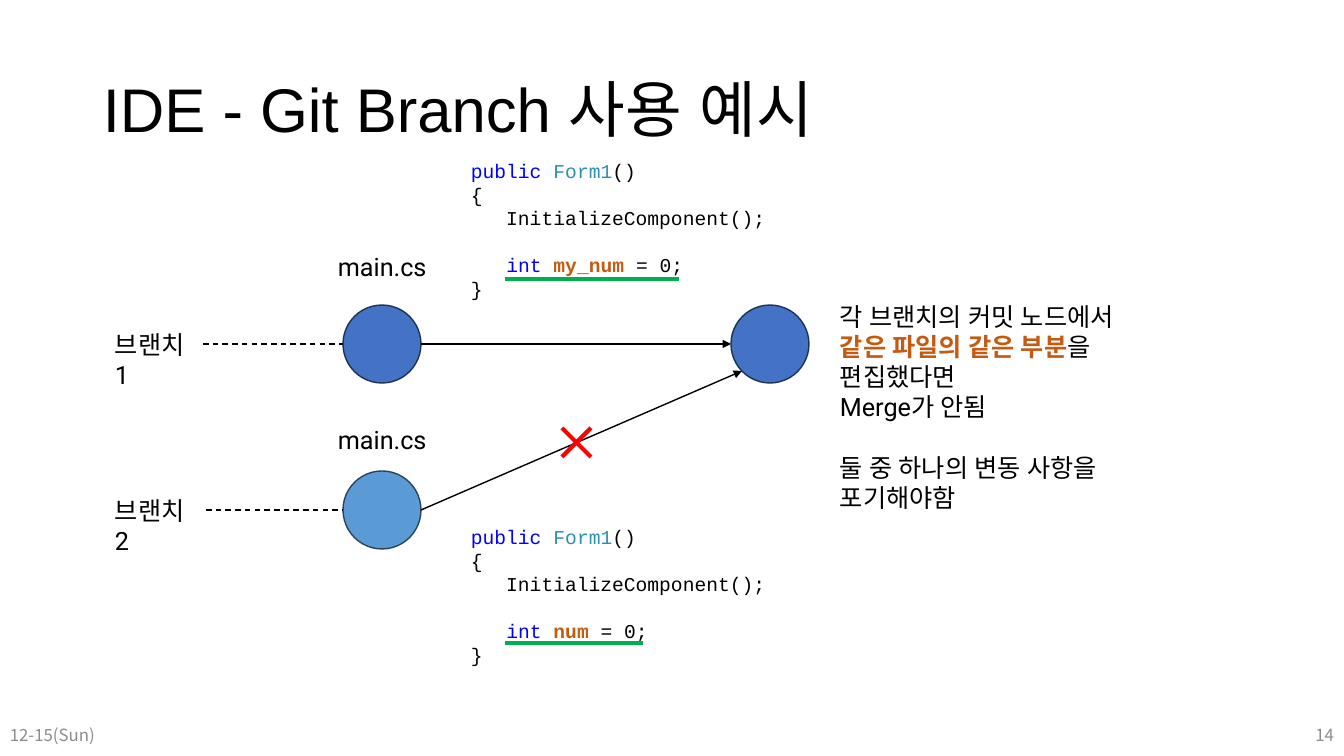
from lxml import etree
from pptx import Presentation
from pptx.dml.color import RGBColor
from pptx.enum.dml import MSO_LINE
from pptx.enum.shapes import MSO_CONNECTOR, MSO_SHAPE
from pptx.enum.text import MSO_ANCHOR, PP_ALIGN
from pptx.oxml.ns import qn
from pptx.util import Pt

STRAIGHT, OVAL, DASH = MSO_CONNECTOR.STRAIGHT, MSO_SHAPE.OVAL, MSO_LINE.DASH
TOP, MIDDLE = MSO_ANCHOR.TOP, MSO_ANCHOR.MIDDLE
LEFT, RIGHT = PP_ALIGN.LEFT, PP_ALIGN.RIGHT

BLACK = RGBColor(0x00, 0x00, 0x00)
GRAY = RGBColor(0x8C, 0x8C, 0x8C)
KEYWORD = RGBColor(0x00, 0x00, 0xFF)
TYPE_NAME = RGBColor(0x2B, 0x91, 0xAF)
ACCENT = RGBColor(0xC5, 0x5A, 0x11)
RED = RGBColor(0xFF, 0x00, 0x00)
GREEN = RGBColor(0x00, 0xB0, 0x50)
BLUE, BLUE_EDGE = RGBColor(0x44, 0x72, 0xC4), RGBColor(0x1E, 0x32, 0x56)
SKY, SKY_EDGE = RGBColor(0x5B, 0x9B, 0xD5), RGBColor(0x28, 0x44, 0x5D)

TITLE_FONT, BODY_FONT = "Arial", "Roboto"
CODE_FONT, FOOTER_FONT = "Courier New", "Noto Sans CJK KR"

# A line of text is a list of (text, colour) pieces; accent pieces are bold.
# None stands for a line of empty space.
TITLE = "IDE - Git Branch 사용 예시"
DATE, PAGE = "12-15(Sun)", "14"
FILE_NAME = "main.cs"
EXPLANATION = [
    [("각 브랜치의 커밋 노드에서", BLACK)],
    [("같은 파일의 같은 부분", ACCENT), ("을 편집했다면", BLACK)],
    [("Merge가 안됨", BLACK)],
    None,
    [("둘 중 하나의 변동 사항을 포기해야함", BLACK)],
]
# label, node top, file name top, dash start, fill, edge,
# code top, variable, underline y, underline end
BRANCHES = [
    ("브랜치1", 305, 246, 203, BLUE, BLUE_EDGE, 154, "my_num", 279, 679),
    ("브랜치2", 471, 419, 206, SKY, SKY_EDGE, 520, "num", 643, 643),
]

PX = 9071.43  # EMU in one px
SLIDE_W, SLIDE_H = 1344, 756
NODE = 78
COMMIT_X, MERGE_X = 343, 731
LABEL_H = 40
FOOTER_Y, FOOTER_W = 715, 302
CODE_X, UNDERLINE_X = 461, 505
CROSS_X, CROSS_Y, CROSS = 562, 428, 29
LINE_HEIGHT = 1.2


def emu(*lengths):
    return [round(length * PX) for length in lengths]


def code_lines(variable):
    return [
        [("public ", KEYWORD), ("Form1", TYPE_NAME), ("()", BLACK)],
        [("{", BLACK)],
        [("   InitializeComponent();", BLACK)],
        None,
        [("   ", BLACK), ("int ", KEYWORD), (variable, ACCENT), (" = 0;", BLACK)],
        [("}", BLACK)],
    ]


def add_text(box, lines, size, font, anchor=TOP, align=LEFT, spacing=None):
    """Write lines into a new box; spacing defaults to a fixed line height."""
    frame = slide.shapes.add_textbox(*emu(*box)).text_frame
    frame.word_wrap = True
    frame.vertical_anchor = anchor
    height = Pt(round(size * LINE_HEIGHT, 1))
    paragraph = frame.paragraphs[0]
    gap = False
    for number, line in enumerate(lines):
        if line is None:
            gap = True
            continue
        if number:
            paragraph = frame.add_paragraph()
        if gap:
            paragraph.space_before = height
            gap = False
        paragraph.alignment = align
        paragraph.line_spacing = spacing or height
        paragraph.font.size = Pt(size)
        paragraph.font.name = font
        for text, color in line:
            run = paragraph.add_run()
            run.text = text
            run.font.color.rgb = color
            run.font.bold = color == ACCENT
            east_asian = etree.SubElement(run.font._element, qn("a:ea"))
            east_asian.set("typeface", font)


def add_line(start, end, color=BLACK, width=1, dash=None, arrow=False):
    connector = slide.shapes.add_connector(STRAIGHT, *emu(*start, *end))
    connector.line.color.rgb = color
    connector.line.width = Pt(width)
    if dash:
        connector.line.dash_style = dash
    if arrow:
        etree.SubElement(connector.line._get_or_add_ln(), qn("a:tailEnd")).set("type", "triangle")
    etree.SubElement(connector._element.spPr, qn("a:effectLst"))


def add_node(x, y, fill, edge):
    node = slide.shapes.add_shape(OVAL, *emu(x, y, NODE, NODE))
    node.shadow.inherit = False
    node.fill.solid()
    node.fill.fore_color.rgb = fill
    node.line.color.rgb = edge
    node.line.width = Pt(1)


prs = Presentation()
prs.slide_width, prs.slide_height = emu(SLIDE_W, SLIDE_H)
slide = prs.slides.add_slide(prs.slide_layouts[6])

add_text((93, 40, 1159, 146), [[(TITLE, BLACK)]], 44, TITLE_FONT, MIDDLE, spacing=0.9)
for footer, x, align in ((DATE, 0, LEFT), (PAGE, SLIDE_W - FOOTER_W, RIGHT)):
    add_text((x, FOOTER_Y, FOOTER_W, LABEL_H), [[(footer, GRAY)]], 12, FOOTER_FONT,
             MIDDLE, align, spacing=1.0)

merge_y = BRANCHES[0][1]
add_node(MERGE_X, merge_y, BLUE, BLUE_EDGE)
arrow_ends = [(MERGE_X, merge_y + NODE / 2), (MERGE_X + 11, merge_y + NODE - 12)]

for branch, arrow_end in zip(BRANCHES, arrow_ends):
    (label, node_y, file_y, dash_x, fill, edge,
     code_y, variable, underline_y, underline_end) = branch
    center_y = node_y + NODE / 2
    add_node(COMMIT_X, node_y, fill, edge)
    add_text((105, center_y - 20, 98, LABEL_H), [[(label, BLACK)]], 18, BODY_FONT)
    add_text((328, file_y, 110, LABEL_H), [[(FILE_NAME, BLACK)]], 18, BODY_FONT)
    add_text((CODE_X, code_y, 665, 152), code_lines(variable), 14, CODE_FONT)
    add_line((dash_x, center_y), (COMMIT_X, center_y), dash=DASH)
    add_line((COMMIT_X + NODE, center_y), arrow_end, arrow=True)
    add_line((UNDERLINE_X, underline_y), (underline_end, underline_y), GREEN, 2.25)

add_text((830, 296, 384, 163), EXPLANATION, 18, BODY_FONT)

for y_start, y_end in ((CROSS_Y, CROSS_Y + CROSS), (CROSS_Y + CROSS, CROSS_Y)):
    add_line((CROSS_X, y_start), (CROSS_X + CROSS, y_end), RED, 3)

prs.save("out.pptx")
